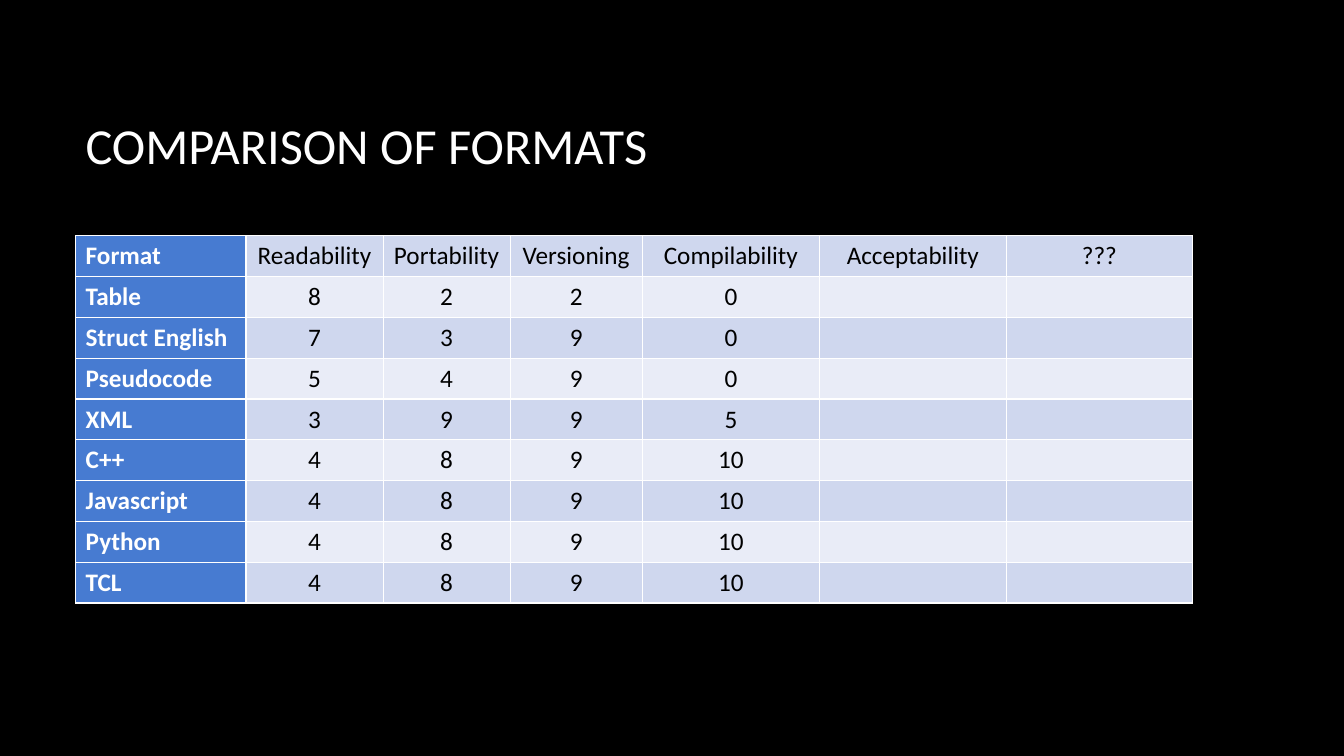
from lxml import etree
from pptx import Presentation
from pptx.dml.color import RGBColor
from pptx.enum.text import MSO_ANCHOR, PP_ALIGN
from pptx.oxml.ns import qn
from pptx.util import Inches, Pt

LEFT, CENTER = PP_ALIGN.LEFT, PP_ALIGN.CENTER
MIDDLE = MSO_ANCHOR.MIDDLE

TITLE = "COMPARISON OF FORMATS"
ROWS = [
    ("Format", "Readability", "Portability", "Versioning", "Compilability", "Acceptability", "???"),
    ("Table", 8, 2, 2, 0, "", ""),
    ("Struct English", 7, 3, 9, 0, "", ""),
    ("Pseudocode", 5, 4, 9, 0, "", ""),
    ("XML", 3, 9, 9, 5, "", ""),
    ("C++", 4, 8, 9, 10, "", ""),
    ("Javascript", 4, 8, 9, 10, "", ""),
    ("Python", 4, 8, 9, 10, "", ""),
    ("TCL", 4, 8, 9, 10, "", ""),
]
COL_WIDTHS = [1.69, 1.36, 1.26, 1.31, 1.76, 1.85, 1.85]
ROW_HEIGHT = 0.405
MARGIN_LEFT, CONTENT_WIDTH = 0.75, 11.08
FONT = "Calibri"
COLORS = {
    "background": "000000",
    "white": "FFFFFF",
    "black": "000000",
    "label": "477BD1",
    "band_dark": "CFD7EE",
    "band_light": "E9ECF7",
}


def rgb(name):
    return RGBColor.from_string(COLORS[name])


def write_text(tf, text, size=18, color="black", bold=False, align=LEFT):
    p = tf.paragraphs[0]
    p.alignment = align
    p.font.size = Pt(size)
    if text:
        r = p.add_run()
        r.text = text
        r.font.name = FONT
        r.font.size = Pt(size)
        r.font.bold = bold
        r.font.color.rgb = rgb(color)


def add_borders(cell, color="white", width=1):
    tc_pr = cell._tc.get_or_add_tcPr()
    for side in ("lnL", "lnR", "lnT", "lnB"):
        ln = etree.SubElement(tc_pr, qn(f"a:{side}"), w=str(Pt(width)))
        fill = etree.SubElement(ln, qn("a:solidFill"))
        etree.SubElement(fill, qn("a:srgbClr"), val=COLORS[color])


def add_title(s):
    box = s.shapes.add_textbox(Inches(MARGIN_LEFT), Inches(0.67), Inches(CONTENT_WIDTH), Inches(1.59))
    tf = box.text_frame
    tf.word_wrap = True
    tf.vertical_anchor = MIDDLE
    write_text(tf, TITLE, size=36, color="white")
    tf.paragraphs[0].line_spacing = 0.9


def add_format_table(s):
    frame = s.shapes.add_table(
        len(ROWS), len(COL_WIDTHS), Inches(MARGIN_LEFT), Inches(2.34),
        Inches(CONTENT_WIDTH), Inches(ROW_HEIGHT * len(ROWS)))
    table = frame.table
    table.first_row = False
    table.first_col = True
    for column, width in zip(table.columns, COL_WIDTHS):
        column.width = Inches(width)
    for i, values in enumerate(ROWS):
        table.rows[i].height = Inches(ROW_HEIGHT)
        band = "band_light" if i % 2 else "band_dark"
        for j, value in enumerate(values):
            cell = table.cell(i, j)
            is_label = j == 0
            add_borders(cell)
            cell.fill.solid()
            cell.fill.fore_color.rgb = rgb("label" if is_label else band)
            write_text(cell.text_frame, str(value), bold=is_label,
                       color="white" if is_label else "black",
                       align=LEFT if is_label else CENTER)


def main():
    prs = Presentation()
    prs.slide_width, prs.slide_height = Inches(13.33), Inches(7.5)
    s = prs.slides.add_slide(prs.slide_layouts[6])
    s.background.fill.solid()
    s.background.fill.fore_color.rgb = rgb("background")
    add_title(s)
    add_format_table(s)
    prs.save("out.pptx")


if __name__ == "__main__":
    main()
